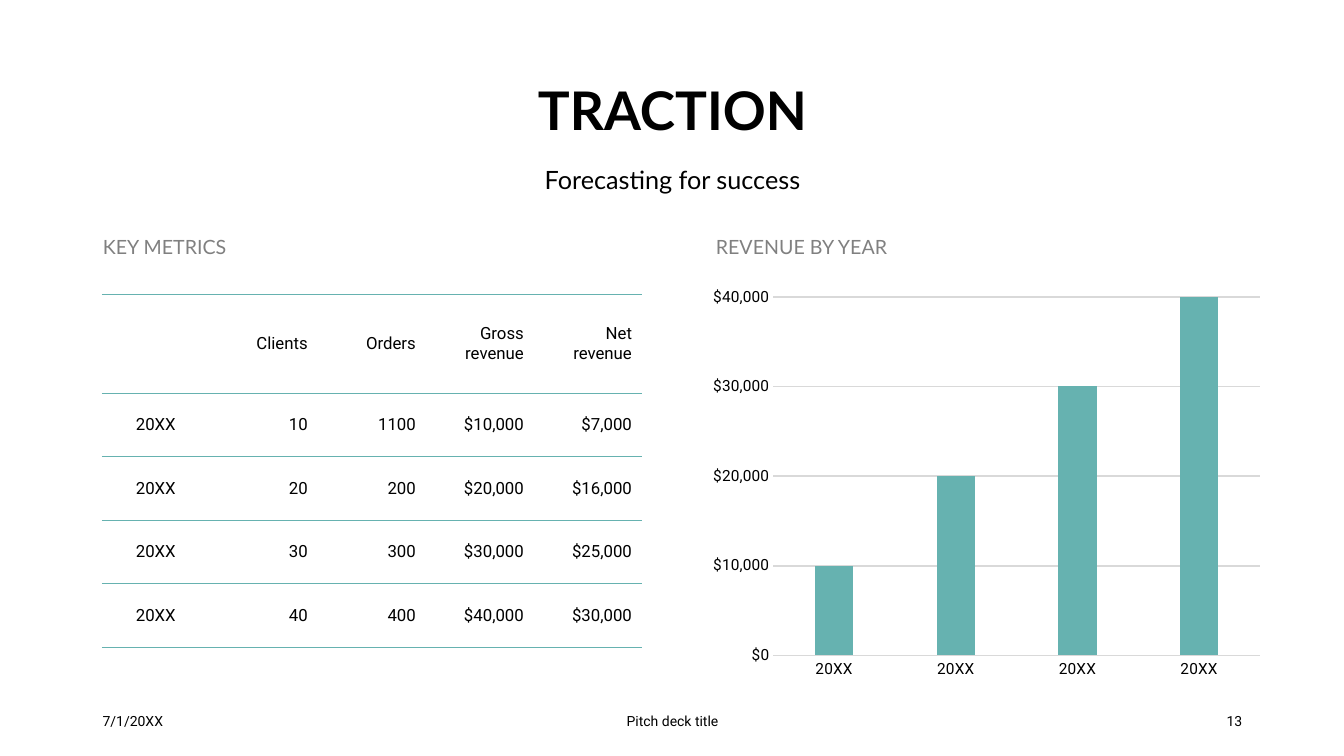
from lxml.etree import SubElement
from pptx import Presentation
from pptx.chart.data import CategoryChartData
from pptx.dml.color import RGBColor
from pptx.enum.chart import XL_CHART_TYPE, XL_TICK_MARK
from pptx.enum.text import MSO_ANCHOR, MSO_AUTO_SIZE, PP_ALIGN
from pptx.oxml.ns import qn
from pptx.util import Inches, Pt

COLORS = {"ink": "000000", "label": "808080", "teal": "66B2B0", "grid": "D9D9D9"}
HEAD, BODY = "Lato", "Roboto"
ROWS = [
    ["", "Clients", "Orders", "Gross revenue", "Net revenue"],
    ["20XX", "10", "1100", "$10,000", "$7,000"],
    ["20XX", "20", "200", "$20,000", "$16,000"],
    ["20XX", "30", "300", "$30,000", "$25,000"],
    ["20XX", "40", "400", "$40,000", "$30,000"],
]


def rgb(name):
    return RGBColor.from_string(COLORS[name])


def style(font, face, size, color="ink", bold=False):
    font.name, font.size, font.bold = face, Pt(size), bold
    font.color.rgb = rgb(color)


def place(shape, box):
    shape.left, shape.top, shape.width, shape.height = map(Inches, box)


def write(shape, text, face, size, color="ink", bold=False,
          align=PP_ALIGN.LEFT, anchor=MSO_ANCHOR.MIDDLE, space=None):
    frame = shape.text_frame
    frame.text = text
    frame.word_wrap = True
    frame.auto_size = MSO_AUTO_SIZE.NONE
    frame.vertical_anchor = anchor
    para = frame.paragraphs[0]
    props = para._p.get_or_add_pPr()
    props.set("marL", "0")
    props.set("indent", "0")
    SubElement(props, qn("a:buNone"))
    para.alignment, para.line_spacing, para.space_before = align, space, Pt(0)
    style(para.runs[0].font, face, size, color, bold)


# Title and subtitle, stacked in one column
def add_head(title, sub, box):
    left, top, width, _ = box
    place(title, (left, top, width, 0.7))
    write(title, "TRACTION", HEAD, 38, bold=True, align=PP_ALIGN.CENTER, space=0.9)
    place(sub, (left, top + 0.75, width, 0.43))
    write(sub, "Forecasting for success", HEAD, 18, align=PP_ALIGN.CENTER,
          anchor=MSO_ANCHOR.TOP, space=Pt(26))


# Grey label above a panel
def add_label(holder, text, box):
    place(holder, box)
    write(holder, text, HEAD, 14, "label", anchor=MSO_ANCHOR.BOTTOM, space=0.9)


# Cell rules: teal above and below, none at the sides
def rule_cell(cell):
    props = cell._tc.get_or_add_tcPr()
    for side in ("L", "R", "T", "B"):
        line = SubElement(props, qn("a:ln" + side), w=str(Pt(1)))
        if side in "LR":
            SubElement(line, qn("a:noFill"))
        else:
            fill = SubElement(line, qn("a:solidFill"))
            SubElement(fill, qn("a:srgbClr"), val=COLORS["teal"])
    cell.fill.background()


# Key metrics table
def add_metrics(slide, box):
    grid = slide.shapes.add_table(len(ROWS), len(ROWS[0]), *map(Inches, box)).table
    grid.first_row = grid.horz_banding = False
    for col in grid.columns:
        col.width = Inches(box[2] / len(ROWS[0]))
    for r, row in enumerate(ROWS):
        grid.rows[r].height = Inches(0.63 if r else 0.98)
        for c, text in enumerate(row):
            cell = grid.cell(r, c)
            cell.text = text
            cell.vertical_anchor = MSO_ANCHOR.MIDDLE
            para = cell.text_frame.paragraphs[0]
            para.alignment = PP_ALIGN.RIGHT if c else PP_ALIGN.CENTER
            for run in para.runs:
                style(run.font, BODY, 12)
            rule_cell(cell)


# Revenue column chart
def add_revenue(slide, box):
    data = CategoryChartData()
    data.categories = ["20XX"] * 4
    data.add_series("Series 1", [10000, 20000, 30000, 40000])
    chart = slide.shapes.add_chart(
        XL_CHART_TYPE.COLUMN_CLUSTERED, *map(Inches, box), data).chart
    chart.has_title = chart.has_legend = False
    style(chart.font, BODY, 10)

    plot = chart.plots[0]
    plot.gap_width, plot.overlap, plot.vary_by_categories = 219, -27, False
    bars = plot.series[0].format.fill
    bars.solid()
    bars.fore_color.rgb = rgb("teal")

    years, money = chart.category_axis, chart.value_axis
    for axis in (years, money):
        axis.major_tick_mark = axis.minor_tick_mark = XL_TICK_MARK.NONE
        style(axis.tick_labels.font, BODY, 11)
    money.minimum_scale, money.maximum_scale, money.major_unit = 0, 40000, 10000
    money.tick_labels.number_format = "[$$-409]#,##0"
    money.tick_labels.number_format_is_linked = False
    money.format.line.fill.background()
    for line in (years.format.line, money.major_gridlines.format.line):
        line.color.rgb = rgb("grid")
        line.width = Pt(1.25)


# Date, deck name and page number
def add_foot(slide, box):
    left, top, width, height = box
    parts = [
        ("7/1/20XX", left, 3, PP_ALIGN.LEFT),
        ("Pitch deck title", left + 3.5, 4.5, PP_ALIGN.CENTER),
        ("13", left + width - 3, 3, PP_ALIGN.RIGHT),
    ]
    for text, x, span, align in parts:
        item = slide.shapes.add_textbox(*map(Inches, (x, top, span, height)))
        write(item, text, BODY, 10, align=align)


def main():
    deck = Presentation()
    deck.slide_width, deck.slide_height = Inches(13.33), Inches(7.5)
    slide = deck.slides.add_slide(deck.slide_layouts.get_by_name("Comparison"))
    holders = {h.placeholder_format.idx: h for h in slide.placeholders}
    add_head(holders[0], holders[2], (1.72, 0.77, 9.9, 1.18))
    add_label(holders[1], "KEY METRICS", (0.92, 2.19, 5.64, 0.43))
    add_label(holders[3], "REVENUE BY YEAR", (7, 2.19, 4.74, 0.43))
    spare = holders[4].element
    spare.getparent().remove(spare)
    add_metrics(slide, (1.01, 2.92, 5.36, 3.5))
    add_revenue(slide, (6.96, 2.77, 5.65, 4.04))
    add_foot(slide, (0.92, 6.95, 11.5, 0.4))
    deck.save("out.pptx")


if __name__ == "__main__":
    main()
